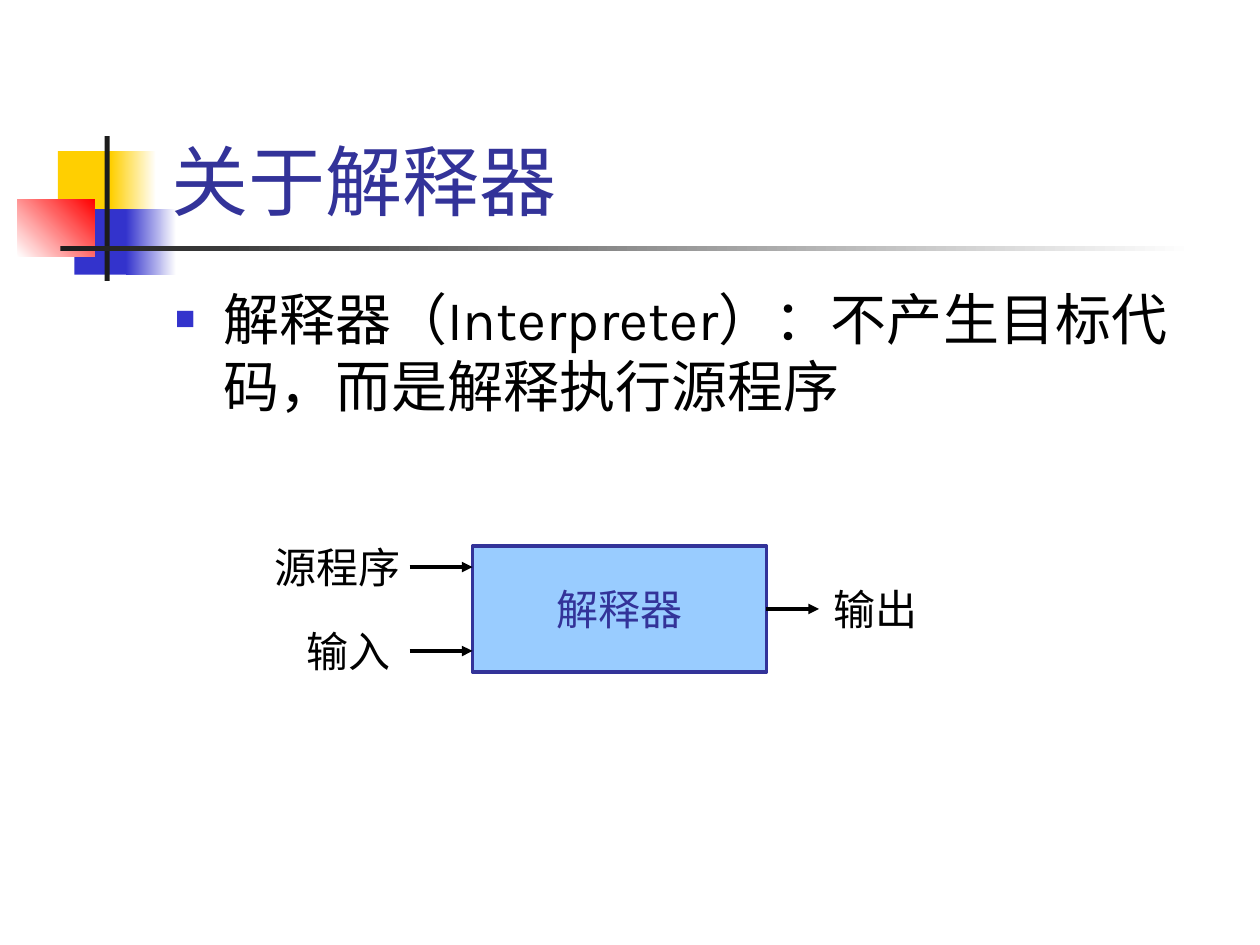
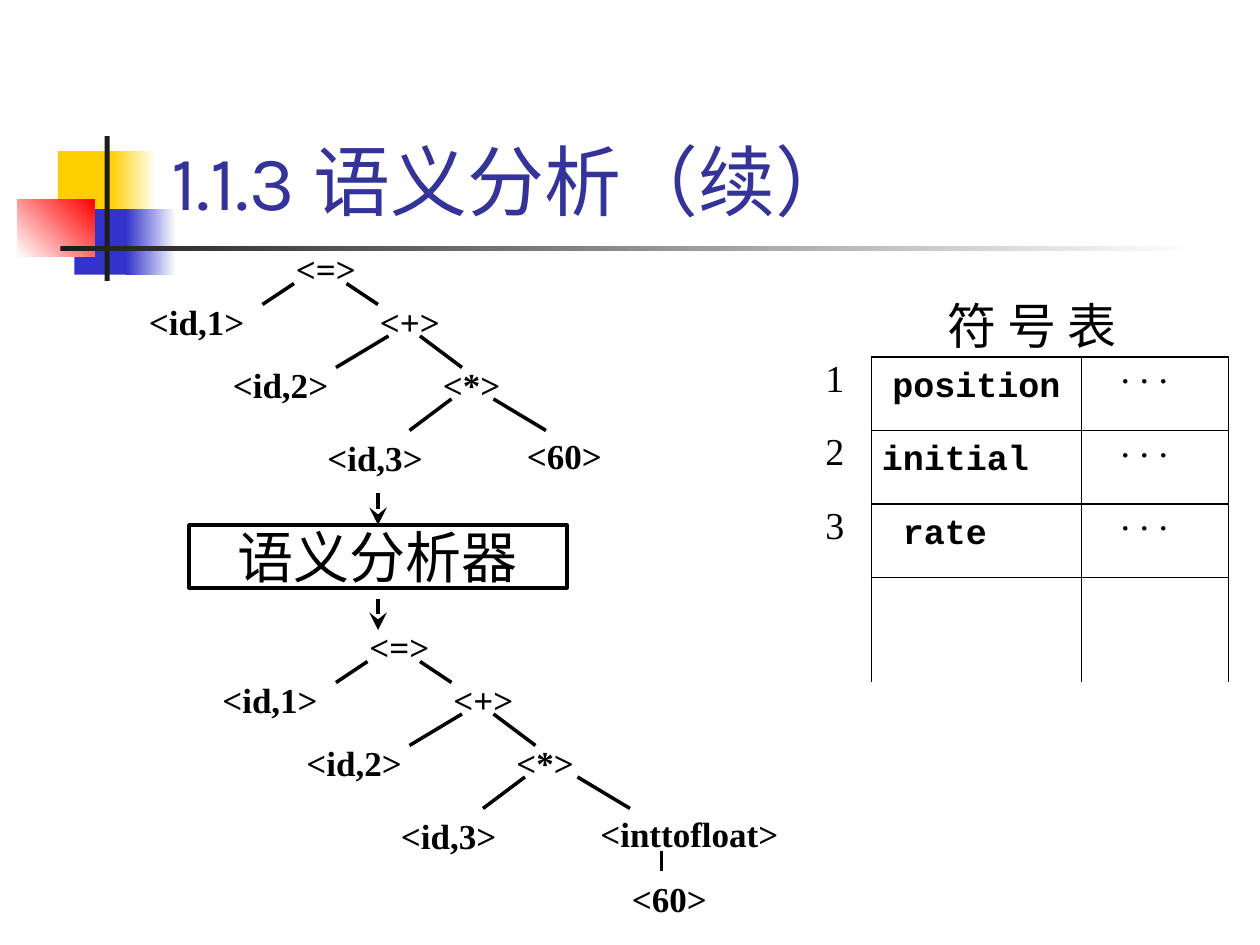
from typing import NamedTuple

from lxml import etree
from pptx import Presentation
from pptx.dml.color import RGBColor as RGB
from pptx.enum.shapes import MSO_CONNECTOR, MSO_SHAPE
from pptx.enum.text import MSO_ANCHOR, MSO_AUTO_SIZE, PP_ALIGN
from pptx.oxml.ns import qn
from pptx.util import Inches, Pt

LEFT, CENTER = PP_ALIGN.LEFT, PP_ALIGN.CENTER


class Style(NamedTuple):
    font: str
    size: float
    colour: str = "000000"
    bold: bool = False
    spacing: float = 1.0


class Theme:
    black, white, ink = "000000", "FFFFFF", "1C1C1C"
    yellow, blue, red = "FFCF01", "3333CC", "FF0000"
    navy, sky = "333399", "99CCFF"
    title = Style("Karla", 44, navy)
    body = Style("Karla", 32)
    flow = Style("Karla", 24)
    flow_box = Style("Karla", 24, navy)
    analyser = Style("Noto Sans CJK SC", 32)
    heading = Style("Noto Sans CJK SC", 28)
    code = Style("Courier New", 20, bold=True)
    index = Style("Times New Roman", 21.7, spacing=0.8)
    node = Style("Times New Roman", 20, bold=True)


prs = Presentation()
prs.slide_width, prs.slide_height = Inches(10), Inches(7.5)
U = prs.slide_width // 120  # grid of 120 columns by 90 rows


def write(tf, text, style, align=LEFT):
    tf.word_wrap = True
    p = tf.paragraphs[0]
    p.alignment = align
    p.space_before = Pt(0)
    p.line_spacing = style.spacing
    r = p.add_run()
    r.text = text
    r.font.name, r.font.size, r.font.bold = style.font, Pt(style.size), style.bold
    r.font.color.rgb = RGB.from_string(style.colour)
    ea = etree.Element(qn("a:ea"), typeface=style.font)
    r.font._element.find(qn("a:latin")).addnext(ea)
    return p


def line(s, x1, y1, x2, y2, head=None, head_size="med"):
    """Draw a black line between two grid points, with an optional arrowhead."""
    c = s.shapes.add_connector(MSO_CONNECTOR.STRAIGHT, x1 * U, y1 * U, x2 * U, y2 * U)
    c.line.width = Pt(2)
    c.line.color.rgb = RGB.from_string(Theme.black)
    ln = c.line._get_or_add_ln()
    if head:
        etree.SubElement(ln, qn("a:tailEnd"), type=head, w=head_size, len=head_size)
    etree.SubElement(c.element.spPr, qn("a:effectLst"))


# Slides and titles
s1 = prs.slides.add_slide(prs.slide_layouts[1])
s2 = prs.slides.add_slide(prs.slide_layouts[5])
for s, title in ((s1, "关于解释器"), (s2, "1.1.3 语义分析（续）")):
    sp = s.shapes.title
    sp.left, sp.top, sp.width, sp.height = map(Inches, (1.26, 0.24, 8.52, 1.6))
    tf = sp.text_frame
    tf.auto_size, tf.vertical_anchor = MSO_AUTO_SIZE.NONE, MSO_ANCHOR.BOTTOM
    write(tf, title, Theme.title)

# Shared blocks and rules, moved to the back of the master
blocks = [
    # left, top, width, height in inches, colours, angle
    (0.46, 1.2, 0.48, 0.52, [Theme.yellow], 0),
    (0.88, 1.2, 0.36, 0.52, [Theme.yellow, Theme.white], 0),
    (0.59, 1.66, 0.46, 0.52, [Theme.blue], 0),
    (1, 1.66, 0.4, 0.52, [Theme.blue, Theme.white], 0),
    (0.14, 1.58, 0.61, 0.46, [Theme.white, Theme.red], 45),
    (0.83, 1.08, 0.04, 1.15, [Theme.ink], 0),
    (0.48, 1.95, 9, 0.04, [Theme.ink, Theme.white], 0),
]
master_tree = prs.slide_master.shapes.element
for i, (x, y, w, h, colours, angle) in enumerate(blocks):
    sp = s1.shapes.add_shape(MSO_SHAPE.RECTANGLE, *map(Inches, (x, y, w, h)))
    sp.shadow.inherit = False
    sp.line.fill.background()
    if len(colours) == 1:
        sp.fill.solid()
        sp.fill.fore_color.rgb = RGB.from_string(colours[0])
    else:
        sp.fill.gradient()
        sp.fill.gradient_angle = angle
        for stop, colour in zip(sp.fill.gradient_stops, colours):
            stop.color.rgb = RGB.from_string(colour)
    master_tree.insert(2 + i, sp.element)

# Slide 1: definition
sp = s1.placeholders[1]
sp.left, sp.top, sp.width, sp.height = map(Inches, (1.29, 2.21, 8.5, 4.88))
sp.text_frame.auto_size = MSO_AUTO_SIZE.NONE
p = write(sp.text_frame, "解释器（Interpreter）：不产生目标代码，而是解释执行源程序", Theme.body)
pPr = p._p.get_or_add_pPr()
pPr.set("marL", str(Inches(0.38)))
pPr.set("indent", str(-Inches(0.38)))
bullet_colour = etree.SubElement(pPr, qn("a:buClr"))
etree.SubElement(bullet_colour, qn("a:srgbClr"), val=Theme.blue)
etree.SubElement(pPr, qn("a:buSzPct"), val="60000")
etree.SubElement(pPr, qn("a:buChar"), char="■")

# Processing boxes of both slides
for s, text, box, style, fill, outline in (
    (s1, "解释器", (45, 52, 28, 12), Theme.flow_box, Theme.sky, Theme.navy),
    (s2, "语义分析器", (18, 50, 36, 6), Theme.analyser, None, Theme.black),
):
    sp = s.shapes.add_shape(MSO_SHAPE.RECTANGLE, *(v * U for v in box))
    sp.shadow.inherit = False
    sp.line.color.rgb, sp.line.width = RGB.from_string(outline), Pt(2)
    if fill:
        sp.fill.solid()
        sp.fill.fore_color.rgb = RGB.from_string(fill)
    else:
        sp.fill.background()
    sp.text_frame.vertical_anchor = MSO_ANCHOR.MIDDLE
    write(sp.text_frame, text, style, CENTER)

for x1, x2, y in ((39, 45, 54), (39, 45, 62), (73, 78, 58)):
    line(s1, x1, y, x2, y, "triangle")
for y in (47, 57):
    line(s2, 36, y, 36, y + 3, "stealth", "lg")

# Labels: slide, text, left, top, width, style, alignment
labels = [
    (s1, "源程序", 25, 51, 15, Theme.flow, LEFT),
    (s1, "输入", 28, 59, 11, Theme.flow, LEFT),
    (s1, "输出", 78.2, 55, 11, Theme.flow, LEFT),
    (s2, "符 号 表", 85.3, 27.6, 26, Theme.heading, CENTER),
]

# Slide 2: the syntax tree before and after analysis
tree_nodes = [("<=>", 27, 23), ("<id,1>", 13, 28), ("<+>", 35, 28),
              ("<id,2>", 21, 34), ("<*>", 41, 34), ("<id,3>", 30, 41)]
tree_edges = [(28, 27, 25, 29), (33, 27, 36, 29), (37, 32, 32, 35),
              (40, 32, 44, 35), (43, 38, 39, 41)]
for dx, dy, operand, operand_edge in (
    (0, 0, "<60>", (47, 38, 52, 41)),
    (7, 36, "<inttofloat>", (48, 38, 53, 41)),
):
    for text, x, y in tree_nodes + [(operand, 49, 40.8)]:
        width = max(9, 3 * len(text))
        labels.append((s2, text, x + dx, y + dy, width, Theme.node, LEFT))
    for x1, y1, x2, y2 in tree_edges + [operand_edge]:
        line(s2, x1 + dx, y1 + dy, x2 + dx, y2 + dy)
labels.append((s2, "<60>", 59, 83, 12, Theme.node, LEFT))
line(s2, 63, 81, 63, 83)

# Slide 2: symbol table, open at the bottom
symbols = [("position", 0), ("initial", 2), ("rate", 3)]  # name, shift to the left
ROW = 7
table = s2.shapes.add_table(4, 2, 83 * U, 34 * U, 34 * U, 31 * U).table
table.first_row = table.horz_banding = False
for col, width in zip(table.columns, (20, 14)):
    col.width = width * U
for row, height in zip(table.rows, (ROW, ROW, ROW, 10)):
    row.height = height * U
for cell in table.iter_cells():
    tcPr = cell._tc.get_or_add_tcPr()
    for side in ("lnL", "lnR", "lnT", "lnB"):
        ln = etree.SubElement(tcPr, qn(f"a:{side}"), w=str(Pt(1)))
        if side == "lnB" and cell in (table.cell(3, 0), table.cell(3, 1)):
            etree.SubElement(ln, qn("a:noFill"))
        else:
            fill = etree.SubElement(ln, qn("a:solidFill"))
            etree.SubElement(fill, qn("a:srgbClr"), val=Theme.black)
    cell.fill.background()
for i, (name, shift) in enumerate(symbols):
    cells = (
        (table.cell(i, 0), name, shift, 0.09, Theme.code),
        (table.cell(i, 1), ". . .", 1, 0, Theme.index),
    )
    for cell, text, left_shift, top, style in cells:
        cell.margin_left, cell.margin_right = 0, 2 * left_shift * U
        cell.margin_top = Inches(top)
        write(cell.text_frame, text, style, CENTER)
    labels.append((s2, str(i + 1), 75, 34 + ROW * i, 9, Theme.index, CENTER))

for s, text, x, y, width, style, align in labels:
    tb = s.shapes.add_textbox(int(x * U), int(y * U), width * U, 6 * U)
    write(tb.text_frame, text, style, align)

prs.save("out.pptx")
